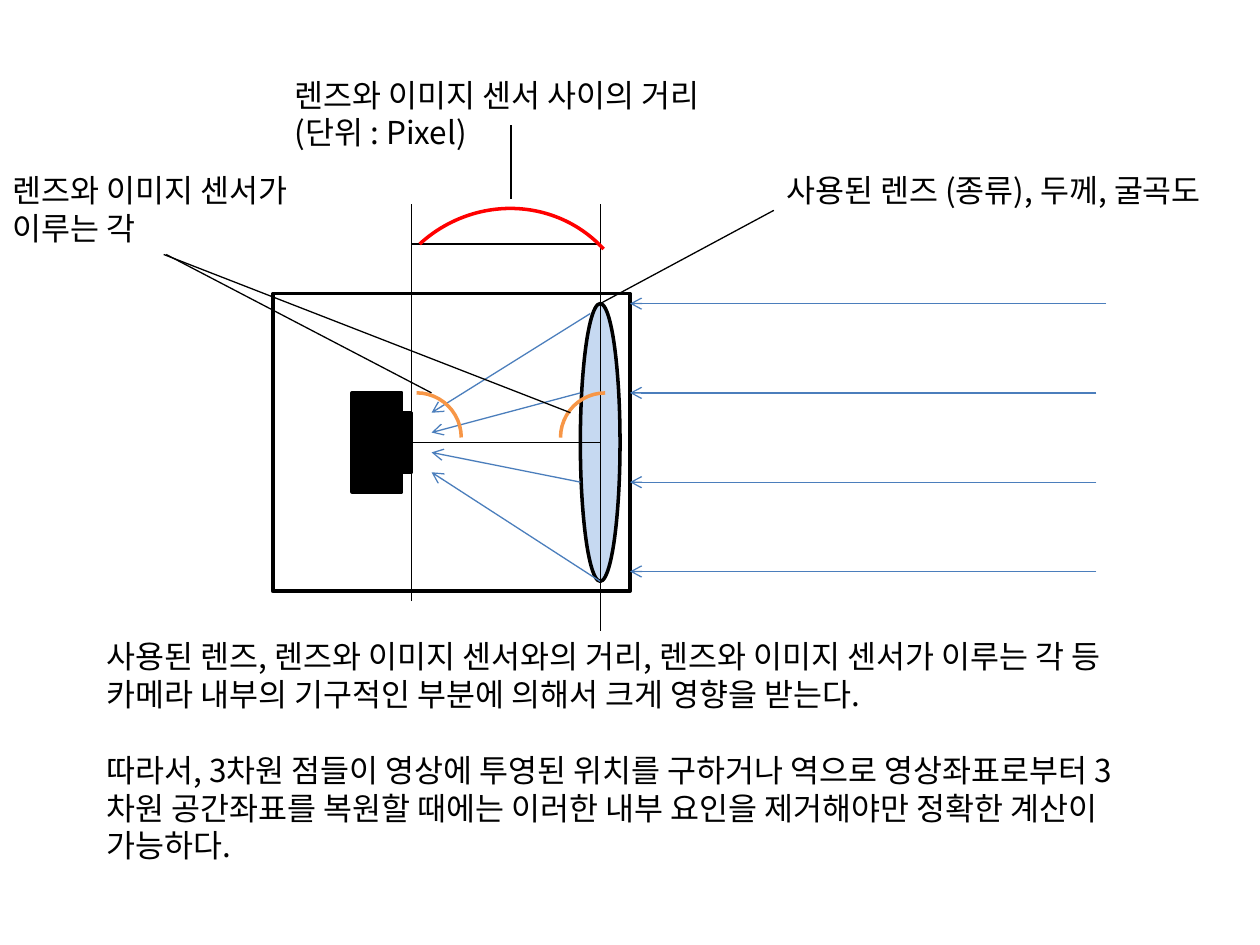
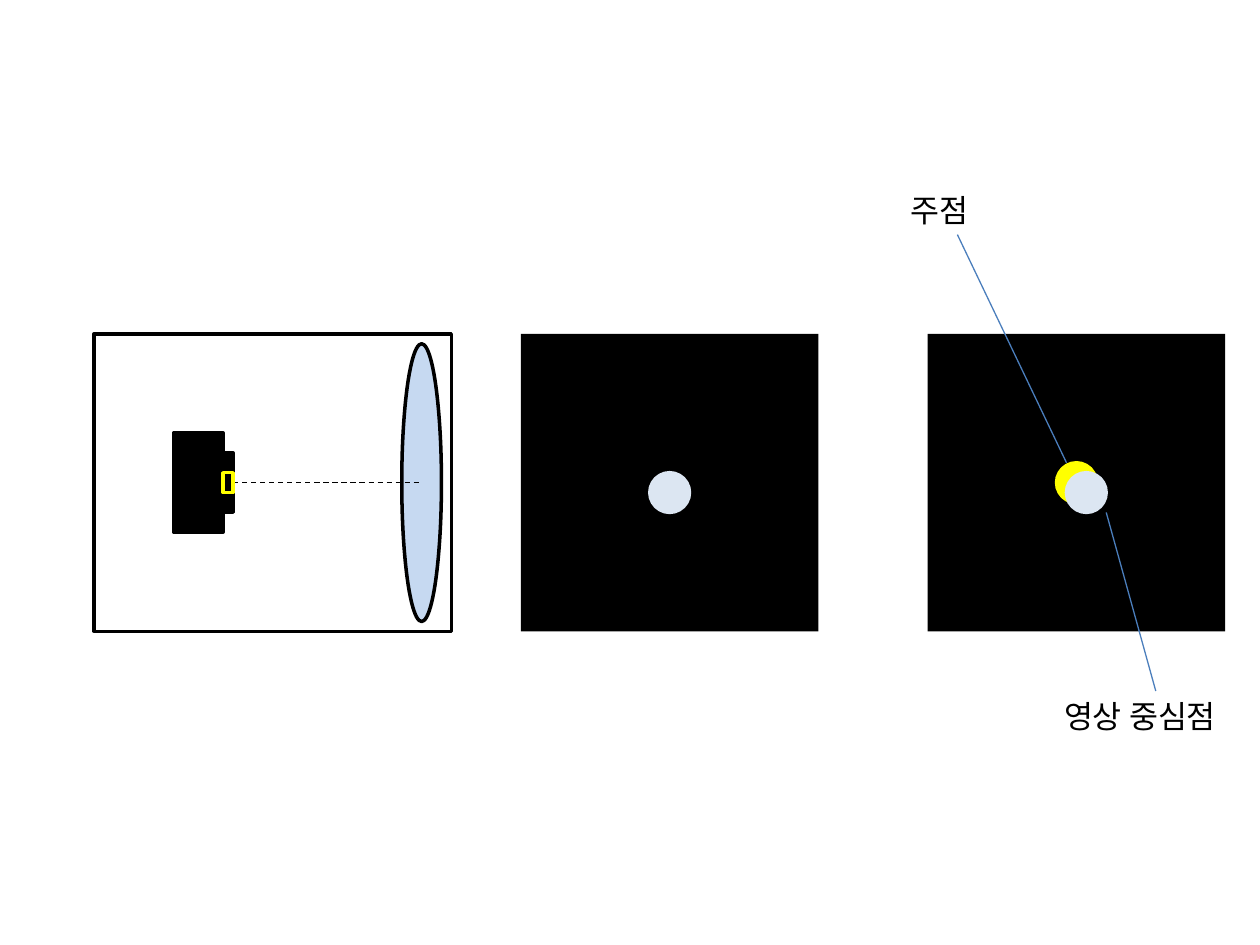
from pptx import Presentation
from pptx.dml.color import RGBColor
from pptx.enum.dml import MSO_LINE
from pptx.enum.shapes import MSO_CONNECTOR, MSO_SHAPE as Preset
from pptx.enum.text import MSO_AUTO_SIZE
from pptx.oxml.ns import qn
from pptx.util import Cm, Pt
from lxml.etree import SubElement

# Shared style
FONT = "Noto Sans CJK KR"
BLACK, BLUE, LENS = "000000", "4B7EBC", "C6D9F1"
RED, ORANGE, YELLOW, PALE = "FF0000", "F79646", "FFFF00", "DCE6F2"
CAMERA_W, SCREEN, DOT = 7.2, 6, 0.8
SENSOR_X, LENS_X, AXIS_Y = 2.8, 6.6, 3  # optical axis inside the camera


def color(value):
    return RGBColor.from_string(value)


def add_shape(page, preset, left, top, width, height, fill=None, line=None, rotation=0):
    shape = page.shapes.add_shape(preset, Cm(left), Cm(top), Cm(width), Cm(height))
    shape.shadow.inherit = False
    shape.rotation = rotation
    if fill:
        shape.fill.solid()
        shape.fill.fore_color.rgb = color(fill)
    else:
        shape.fill.background()
    if line:
        shape.line.color.rgb = color(line)
        shape.line.width = Pt(2)
    else:
        shape.line.fill.background()


def add_line(page, origin, start, end, line=BLACK, arrow=False, dashed=False):
    """Draw a thin line between two points measured from the origin."""
    x, y = origin
    connector = page.shapes.add_connector(
        MSO_CONNECTOR.STRAIGHT, Cm(x + start[0]), Cm(y + start[1]), Cm(x + end[0]), Cm(y + end[1]))
    connector.line.color.rgb = color(line)
    connector.line.width = Pt(0.75)
    if dashed:
        connector.line.dash_style = MSO_LINE.DASH
    if arrow:
        SubElement(connector.line._get_or_add_ln(), qn("a:tailEnd"), type="arrow")
    SubElement(connector._element.spPr, qn("a:effectLst"))


def add_text(page, left, top, width, height, *paragraphs):
    box = page.shapes.add_textbox(Cm(left), Cm(top), Cm(width), Cm(height))
    frame = box.text_frame
    frame.word_wrap = True
    frame.auto_size = MSO_AUTO_SIZE.SHAPE_TO_FIT_TEXT
    frame.text = "\n".join(paragraphs)
    for number, para in enumerate(frame.paragraphs):
        if number:
            para.space_before = Pt(21.7)
        for span in para.runs:
            span.font.size = Pt(18)
            span.font.name = FONT
            span.font.color.rgb = color(BLACK)
            SubElement(span.font._element, qn("a:ea"), typeface=FONT)


def add_camera(page, x, y):
    """Camera housing with its lens and image sensor."""
    add_shape(page, Preset.OVAL, x + 6.2, y + 0.2, 0.8, 5.6, LENS, BLACK)
    add_shape(page, Preset.RECTANGLE, x + 1.6, y + 2, 1, 2, BLACK, BLACK)
    add_shape(page, Preset.RECTANGLE, x + 2.6, y + 2.4, 0.2, 1.2, BLACK, BLACK)
    add_shape(page, Preset.RECTANGLE, x, y, CAMERA_W, 6, None, BLACK)


def add_rays(page, origin):
    """Light arriving at the camera, then converging on the sensor."""
    for number in range(4):
        height = 0.2 + 1.8 * number
        start = 16.6 if number else 16.8
        add_line(page, origin, (start, height), (CAMERA_W, height), BLUE, arrow=True)
    inner_rays = [((6.4, 0.4), 2.4), ((6.6, 5.8), 3.6), ((6.2, 2), 2.8), ((6.2, 3.8), 3.2)]
    for start, height in inner_rays:
        add_line(page, origin, start, (3.2, height), BLUE, arrow=True)


def add_measures(page, origin):
    """Distance and angles between the lens and the sensor."""
    x, y = origin
    add_line(page, origin, (SENSOR_X, 6.2), (SENSOR_X, -1.8))
    add_line(page, origin, (LENS_X, 6.8), (LENS_X, -1.8))
    for height in (-1, AXIS_Y):
        add_line(page, origin, (SENSOR_X, height), (LENS_X, height))
    add_shape(page, Preset.ARC, x + 2.04, y - 1.68, 5.33, 5.16, None, RED, 317.5)
    add_shape(page, Preset.ARC, x + 2, y + 2, 1.8, 1.8, None, ORANGE)
    add_shape(page, Preset.ARC, x + 5.8, y + 2, 1.8, 1.8, None, ORANGE, 270)
    # Leaders to the labels: lens, distance, two angles
    add_line(page, origin, (LENS_X, 0.2), (10.1, -1.68))
    add_line(page, origin, (4.8, -3.4), (4.8, -1.9))
    add_line(page, origin, (3.2, 2), (-2.15, -0.79))
    add_line(page, origin, (6, 2.4), (-2.2, -0.79))


def add_screen(page, x, y, *dots):
    """Black image with dots given as (offset, colour)."""
    add_shape(page, Preset.RECTANGLE, x, y, SCREEN, SCREEN, BLACK)
    for offset, fill in dots:
        add_shape(page, Preset.OVAL, x + 2.6 + offset[0], y + 2.6 + offset[1], DOT, DOT, fill, fill)


def build_parameters(page):
    camera = (5.5, 5.92)
    add_camera(page, *camera)
    add_rays(page, camera)
    add_measures(page, camera)
    add_text(page, 15.6, 3.33, 9.8, 1.02, "사용된 렌즈 (종류), 두께, 굴곡도")
    add_text(page, 5.69, 1.4, 9.8, 1.8, "렌즈와 이미지 센서 사이의 거리(단위 : Pixel)")
    add_text(page, 0, 3.33, 6.7, 1.8, "렌즈와 이미지 센서가 이루는 각")
    add_text(
        page, 1.9, 12.72, 21.6, 4.88,
        "사용된 렌즈, 렌즈와 이미지 센서와의 거리, 렌즈와 이미지 센서가 이루는 각 등 "
        "카메라 내부의 기구적인 부분에 의해서 크게 영향을 받는다.",
        "따라서, 3차원 점들이 영상에 투영된 위치를 구하거나 역으로 영상좌표로부터 "
        "3차원 공간좌표를 복원할 때에는 이러한 내부 요인을 제거해야만 정확한 계산이 가능하다.")


def build_principal_point(page):
    top = 6.73
    # Camera with its optical axis and the spot it meets on the sensor
    x = 1.9
    add_camera(page, x, top)
    add_line(page, (x, top), (SENSOR_X, AXIS_Y), (LENS_X, AXIS_Y), dashed=True)
    add_shape(page, Preset.RECTANGLE, x + 2.6, top + 2.8, 0.2, 0.4, None, YELLOW)
    # Image centre alone, then beside the principal point
    add_screen(page, 10.5, top, ((0, 0.2), PALE))
    x = 18.7
    add_screen(page, x, top, ((0, 0), YELLOW), ((0.2, 0.2), PALE))
    add_line(page, (x, top), (0.6, -2), (2.8, 2.6), BLUE)
    add_line(page, (x, top), (4.6, 7.2), (3.6, 3.6), BLUE)
    add_text(page, x - 0.6, top - 3, 4.2, 1.02, "주점")
    add_text(page, x + 2.5, top + 7.2, 4.2, 1.02, "영상 중심점")


deck = Presentation()
deck.slide_width, deck.slide_height = Cm(25.4), Cm(19.05)
blank = deck.slide_layouts[6]
for build in (build_parameters, build_principal_point):
    build(deck.slides.add_slide(blank))
deck.save("out.pptx")
